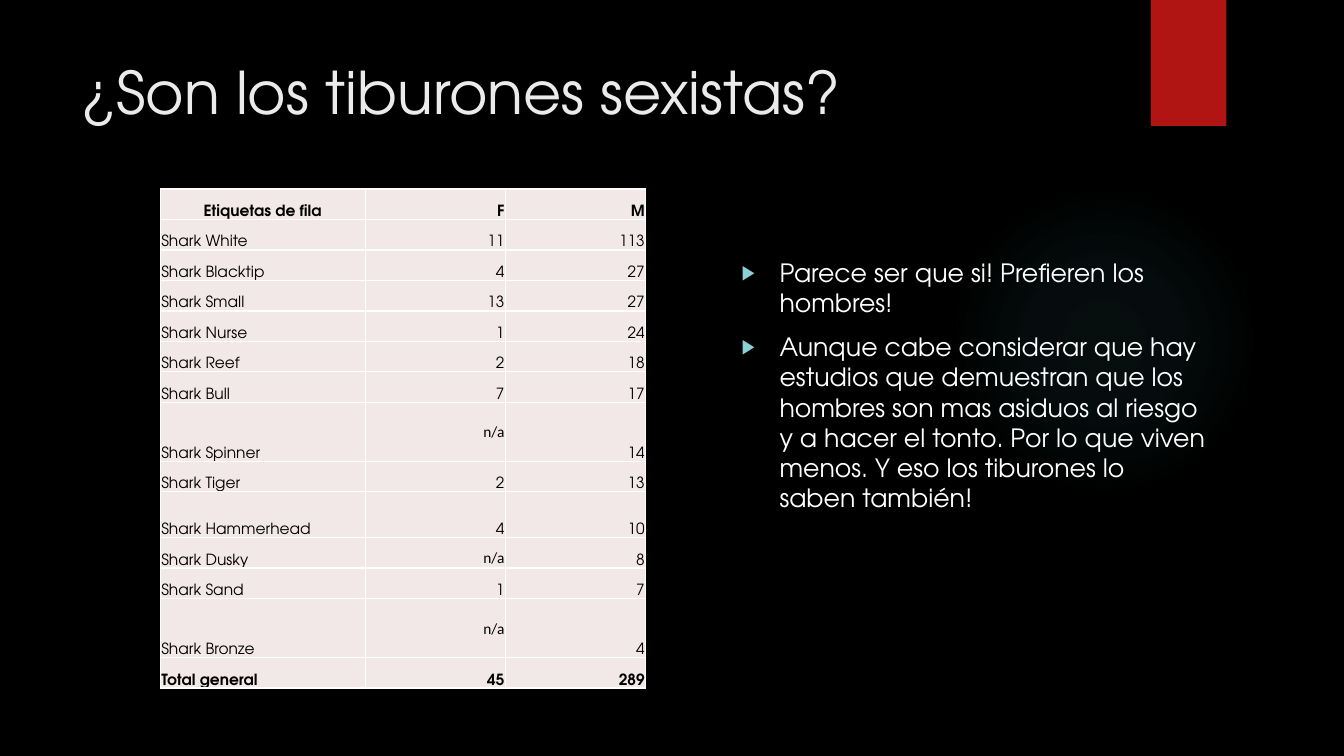
from dataclasses import dataclass

import lxml.etree
import pptx
import pptx.dml.color
import pptx.enum.shapes
import pptx.enum.text
import pptx.oxml
import pptx.oxml.ns
import pptx.shapes.autoshape
import pptx.shapes.base
import pptx.slide
import pptx.table
import pptx.text.text
import pptx.util

COLUMNS, ROWS = 160, 90
SLIDE_WIDTH, SLIDE_HEIGHT = pptx.util.Inches(13.333), pptx.util.Inches(7.5)
Align = pptx.enum.text.PP_ALIGN
Preset = pptx.enum.shapes.MSO_SHAPE


@dataclass(frozen=True)
class Theme:
    background: str = "000000"
    accent: str = "B01513"
    glow: str = "50B9C1"
    bullet: str = "8AD0D6"
    title: str = "EBEBEB"
    body: str = "FFFFFF"
    cell: str = "F2E8E7"
    cell_text: str = "000000"
    border: str = "FFFFFF"
    font: str = "TeX Gyre Adventor"
    missing_font: str = "Calibri"
    title_size: int = 42
    body_size: int = 18
    cell_size: int = 11


@dataclass(frozen=True)
class Area:
    """A rectangle in grid columns and rows."""
    column: float
    row: float
    width: float
    height: float

    def box(self) -> tuple[int, int, int, int]:
        return across(self.column), down(self.row), across(self.width), down(self.height)


@dataclass(frozen=True)
class SharkRow:
    label: str
    female: str
    male: str
    height: float = 3.63
    bold: bool = False


THEME = Theme()
GLOW = Area(112.92, 22, 37, 37)
RIBBON = Area(137, 0, 9, 15)
TITLE = Area(8.5, 6, 123.5, 18.4)
ARGUMENT = Area(87.1, 30, 57.7, 49.1)
TABLE_COLUMN, TABLE_ROW = 19.08, 22.5
TABLE_WIDTHS = (24.4, 16.7, 16.7)
TALL, MEDIUM = 7.03, 5.44
CELL_INSET, RAISED_INSET = 0.12, 2.3
MISSING = "n/a"

QUESTION = "¿Son los tiburones sexistas?"
ANSWERS = (
    "Parece ser que si! Prefieren los hombres!",
    "Aunque cabe considerar que hay estudios que demuestran que los hombres son mas "
    "asiduos al riesgo y a hacer el tonto. Por lo que viven menos. Y eso los tiburones "
    "lo saben también!",
)
SHARKS = (
    SharkRow("Etiquetas de fila", "F", "M", bold=True),
    SharkRow("Shark White", "11", "113"),
    SharkRow("Shark Blacktip", "4", "27"),
    SharkRow("Shark Small", "13", "27"),
    SharkRow("Shark Nurse", "1", "24"),
    SharkRow("Shark Reef", "2", "18"),
    SharkRow("Shark Bull", "7", "17"),
    SharkRow("Shark Spinner", MISSING, "14", TALL),
    SharkRow("Shark Tiger", "2", "13"),
    SharkRow("Shark Hammerhead", "4", "10", MEDIUM),
    SharkRow("Shark Dusky", MISSING, "8"),
    SharkRow("Shark Sand", "1", "7"),
    SharkRow("Shark Bronze", MISSING, "4", TALL),
    SharkRow("Total general", "45", "289", bold=True),
)


def across(columns: float) -> int:
    return round(SLIDE_WIDTH * columns / COLUMNS)


def down(rows: float) -> int:
    return round(SLIDE_HEIGHT * rows / ROWS)


def rgb(value: str) -> pptx.dml.color.RGBColor:
    return pptx.dml.color.RGBColor.from_string(value)


def xml(markup: str) -> lxml.etree.ElementBase:
    """Parse one DrawingML element, declaring its namespace."""
    head, mark, rest = markup.partition(">")
    return pptx.oxml.parse_xml(f'{head} {pptx.oxml.ns.nsdecls("a")}{mark}{rest}')


def add_run(paragraph: pptx.text.text._Paragraph, text: str, size: int, color: str,
            font: str = THEME.font, bold: bool = False) -> None:
    run = paragraph.add_run()
    run.text = text
    run.font.name, run.font.size, run.font.bold = font, pptx.util.Pt(size), bold
    run.font.color.rgb = rgb(color)


def add_backdrop(slide: pptx.slide.Slide, preset: Preset, area: Area,
                 color: str) -> pptx.shapes.autoshape.Shape:
    """Add a plain shape behind everything else."""
    backdrop = slide.shapes.add_shape(preset, *area.box())
    backdrop.shadow.inherit = False
    backdrop.line.fill.background()
    backdrop.fill.solid()
    backdrop.fill.fore_color.rgb = rgb(color)
    slide.shapes._spTree.insert(2, backdrop._element)
    return backdrop


def fade_outward(glow: pptx.shapes.autoshape.Shape, color: str) -> None:
    stops = "".join(
        f'<a:gs pos="{position}000"><a:srgbClr val="{color}">'
        f'<a:alpha val="{alpha}000"/></a:srgbClr></a:gs>'
        for position, alpha in ((0, 7), (36, 6), (69, 0)))
    gradient = xml(
        f'<a:gradFill><a:gsLst>{stops}</a:gsLst><a:path path="circle">'
        '<a:fillToRect l="50000" t="50000" r="50000" b="50000"/></a:path></a:gradFill>')
    properties = glow._element.spPr
    properties.replace(properties.find(pptx.oxml.ns.qn("a:solidFill")), gradient)


def place(holder: pptx.shapes.base.BaseShape, area: Area) -> pptx.text.text.TextFrame:
    """Move a placeholder and return its top-anchored text frame."""
    holder.left, holder.top, holder.width, holder.height = area.box()
    frame = holder.text_frame
    frame.word_wrap = True
    frame.auto_size = pptx.enum.text.MSO_AUTO_SIZE.NONE
    frame.vertical_anchor = pptx.enum.text.MSO_ANCHOR.TOP
    return frame


def add_answers(frame: pptx.text.text.TextFrame) -> None:
    for index, answer in enumerate(ANSWERS):
        paragraph = frame.add_paragraph() if index else frame.paragraphs[0]
        paragraph.space_before = pptx.util.Pt(10)
        properties = paragraph._p.get_or_add_pPr()
        indent = across(4.5)
        properties.set("marL", str(indent))
        properties.set("indent", str(-indent))
        for markup in (f'<a:buClr><a:srgbClr val="{THEME.bullet}"/></a:buClr>',
                       '<a:buSzPct val="80000"></a:buSzPct>',
                       '<a:buChar char="▶"></a:buChar>'):
            properties.append(xml(markup))
        add_run(paragraph, answer, THEME.body_size, THEME.body)


def fill_cell(cell: pptx.table._Cell, text: str, align: Align, shark: SharkRow) -> None:
    missing = text == MISSING
    cell.fill.solid()
    cell.fill.fore_color.rgb = rgb(THEME.cell)
    cell.vertical_anchor = pptx.enum.text.MSO_ANCHOR.BOTTOM
    cell.margin_left = cell.margin_right = across(CELL_INSET)
    cell.margin_top = down(CELL_INSET)
    cell.margin_bottom = down(RAISED_INSET) if missing and shark.height == TALL else 0
    paragraph = cell.text_frame.paragraphs[0]
    paragraph.alignment = align
    add_run(paragraph, text, THEME.cell_size, THEME.cell_text,
            THEME.missing_font if missing else THEME.font, shark.bold)
    for index, side in enumerate("LRTB"):
        cell._tc.get_or_add_tcPr().insert(index, xml(
            f'<a:ln{side} w="12700"><a:solidFill><a:srgbClr val="{THEME.border}"/>'
            f'</a:solidFill></a:ln{side}>'))


def add_shark_table(slide: pptx.slide.Slide) -> None:
    area = Area(TABLE_COLUMN, TABLE_ROW, sum(TABLE_WIDTHS), sum(s.height for s in SHARKS))
    table = slide.shapes.add_table(len(SHARKS), len(TABLE_WIDTHS), *area.box()).table
    table.first_row = table.horz_banding = False
    for column, width in zip(table.columns, TABLE_WIDTHS):
        column.width = across(width)
    for index, (row, shark) in enumerate(zip(table.rows, SHARKS)):
        row.height = down(shark.height)
        label_align = Align.LEFT if index else Align.CENTER
        texts = (shark.label, shark.female, shark.male)
        for cell, text, align in zip(row.cells, texts, (label_align, Align.RIGHT, Align.RIGHT)):
            fill_cell(cell, text, align, shark)


def main() -> None:
    deck = pptx.Presentation()
    deck.slide_width, deck.slide_height = SLIDE_WIDTH, SLIDE_HEIGHT
    slide = deck.slides.add_slide(deck.slide_layouts[1])
    slide.background.fill.solid()
    slide.background.fill.fore_color.rgb = rgb(THEME.background)
    add_backdrop(slide, Preset.RECTANGLE, RIBBON, THEME.accent)
    fade_outward(add_backdrop(slide, Preset.OVAL, GLOW, THEME.glow), THEME.glow)
    question = place(slide.shapes.title, TITLE).paragraphs[0]
    question.alignment = Align.LEFT
    add_run(question, QUESTION, THEME.title_size, THEME.title)
    add_answers(place(slide.placeholders[1], ARGUMENT))
    add_shark_table(slide)
    deck.save("out.pptx")


if __name__ == "__main__":
    main()
